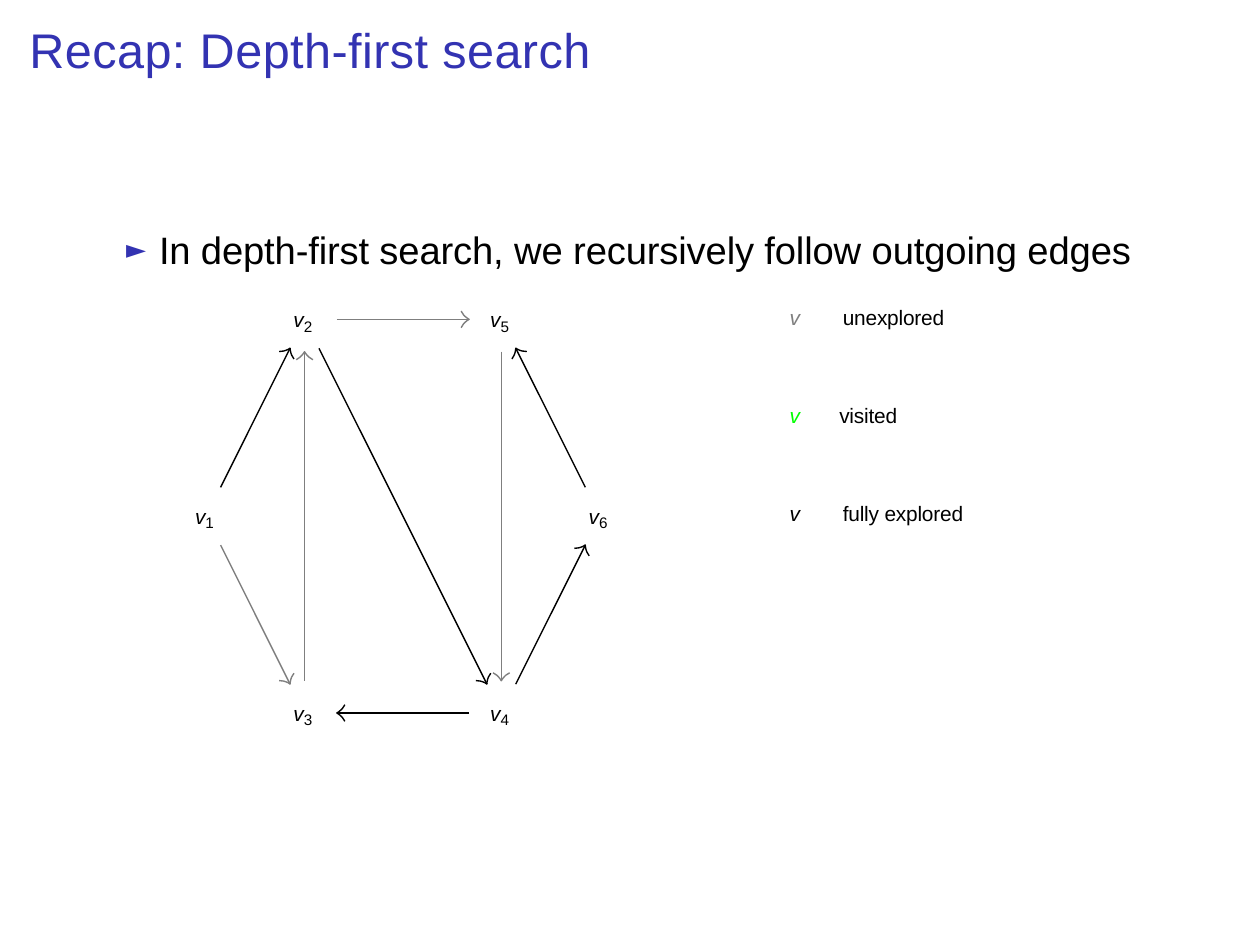
import math

import lxml.etree
import pptx
import pptx.dml.color
import pptx.enum.shapes
import pptx.oxml.ns
import pptx.util

Pt = pptx.util.Pt
RGBColor = pptx.dml.color.RGBColor
qn = pptx.oxml.ns.qn

BLUE = RGBColor(0x33, 0x33, 0xB2)
BLACK = RGBColor(0, 0, 0)
GRAY = RGBColor(0x7F, 0x7F, 0x7F)
GREEN = RGBColor(0, 0xFF, 0)

# Graph: column and row steps, and the distance from a vertex to its edges
LEFT, TOP, STEP_X, STEP_Y = 59.4, 92, 28.35, 56.7
EDGE_GAP = 9.3
LINE_WIDTH = 0.4
VERTICES = {1: (0, 1), 2: (1, 0), 3: (1, 2), 4: (3, 2), 5: (3, 0), 6: (4, 1)}
EDGES = [
    (1, 2, BLACK), (2, 4, BLACK), (4, 6, BLACK), (6, 5, BLACK), (4, 3, BLACK),
    (1, 3, GRAY), (2, 5, GRAY), (3, 2, GRAY), (5, 4, GRAY),
]
# Arrowhead outline: distance behind the tip, distance to the side
HEAD = [(2.3, -2.4), (1.6, -1.3), (1.1, -0.8), (0.5, -0.3), (0, 0),
        (0.5, 0.3), (1.1, 0.8), (1.6, 1.3), (2.3, 2.4)]

LEGEND = [("unexplored", GRAY, 15.3), ("visited", GREEN, 14.3),
          ("fully explored", BLACK, 15.3)]
LEGEND_LEFT, LEGEND_TOP, LEGEND_STEP = 226.8, 86.1, 28.3


def add_text_box(slide, left, top, width, height, inset_top=1.6):
    """Add a text box and return its first paragraph."""
    box = slide.shapes.add_textbox(Pt(left), Pt(top), Pt(width), Pt(height))
    frame = box.text_frame
    frame.word_wrap = True
    frame.margin_left, frame.margin_top = Pt(0.7), Pt(inset_top)
    frame.margin_right = frame.margin_bottom = 0
    return frame.paragraphs[0]


def set_font(para, size, color, spacing=-0.05):
    para.font.name = "Arial"
    para.font.size = Pt(size)
    para.font.color.rgb = color
    para.font._element.set("spc", str(round(spacing * 100)))


def add_span(para, text, italic=False):
    span = para.add_run()
    span.text = text
    span.font.italic = italic
    return span


def add_bullet(para, char, color, indent):
    props = para._p.get_or_add_pPr()
    props.set("marL", str(Pt(indent)))
    props.set("indent", str(-Pt(indent)))
    bullet_color = lxml.etree.SubElement(props, qn("a:buClr"))
    lxml.etree.SubElement(bullet_color, qn("a:srgbClr"), val=str(color))
    lxml.etree.SubElement(props, qn("a:buSzPct"), val="87000")
    lxml.etree.SubElement(props, qn("a:buFont"), typeface="DejaVu Sans Mono")
    lxml.etree.SubElement(props, qn("a:buChar"), char=char)


def add_tab_stop(para, position):
    tabs = lxml.etree.SubElement(para._p.get_or_add_pPr(), qn("a:tabLst"))
    lxml.etree.SubElement(tabs, qn("a:tab"), pos=str(Pt(position)), algn="l")


def vertex_center(number):
    column, row = VERTICES[number]
    return LEFT + column * STEP_X, TOP + row * STEP_Y


def add_vertex(slide, number):
    x, y = vertex_center(number)
    para = add_text_box(slide, x - 3.9, y - 6.7, 8, 9.4)
    set_font(para, 6, BLACK)
    add_span(para, "v", italic=True)
    index = add_span(para, str(number))
    index.font.size = Pt(7.5)
    index.font._element.set("baseline", "-17000")


def set_line(shape, color):
    shape.line.color.rgb = color
    shape.line.width = Pt(LINE_WIDTH)


def add_edge(slide, start, end, color):
    """Draw a line between two vertices, with a curved open arrowhead."""
    (x1, y1), (x2, y2) = vertex_center(start), vertex_center(end)
    length = math.hypot(x2 - x1, y2 - y1)
    dx, dy = (x2 - x1) / length, (y2 - y1) / length
    tip_x, tip_y = x2 - EDGE_GAP * dx, y2 - EDGE_GAP * dy
    line = slide.shapes.add_connector(
        pptx.enum.shapes.MSO_CONNECTOR.STRAIGHT,
        Pt(x1 + EDGE_GAP * dx), Pt(y1 + EDGE_GAP * dy), Pt(tip_x), Pt(tip_y))
    set_line(line, color)
    lxml.etree.SubElement(line._element.spPr, qn("a:effectLst"))

    points = [(Pt(tip_x - back * dx - side * dy),
               Pt(tip_y - back * dy + side * dx)) for back, side in HEAD]
    outline = slide.shapes.build_freeform(*points[0])
    outline.add_line_segments(points[1:], close=False)
    head = outline.convert_to_shape()
    head.fill.background()
    head.shadow.inherit = False
    set_line(head, color)


def add_legend_row(slide, row, label, color, tab):
    para = add_text_box(slide, LEGEND_LEFT, LEGEND_TOP + row * LEGEND_STEP, 60, 9.4)
    add_tab_stop(para, tab)
    set_font(para, 6, BLACK)
    add_span(para, "v\t", italic=True).font.color.rgb = color
    add_span(para, label)


def main():
    deck = pptx.Presentation()
    deck.slide_width, deck.slide_height = Pt(363), Pt(272.5)
    slide = deck.slides.add_slide(deck.slide_layouts[6])

    # Title
    title = add_text_box(slide, 7.8, 5, 180, 19.4, inset_top=0.9)
    set_font(title, 14, BLUE, spacing=0.1)
    add_span(title, "Recap: Depth-first search")

    # Statement
    statement = add_text_box(slide, 35.6, 59, 300, 21, inset_top=6.1)
    add_bullet(statement, "►", BLUE, 9.5)
    set_font(statement, 11, BLACK)
    add_span(statement, "In depth-first search, we recursively follow outgoing edges")

    # Graph
    for number in VERTICES:
        add_vertex(slide, number)
    for start, end, color in EDGES:
        add_edge(slide, start, end, color)

    # Legend
    for row, (label, color, tab) in enumerate(LEGEND):
        add_legend_row(slide, row, label, color, tab)

    deck.save("out.pptx")


if __name__ == "__main__":
    main()
